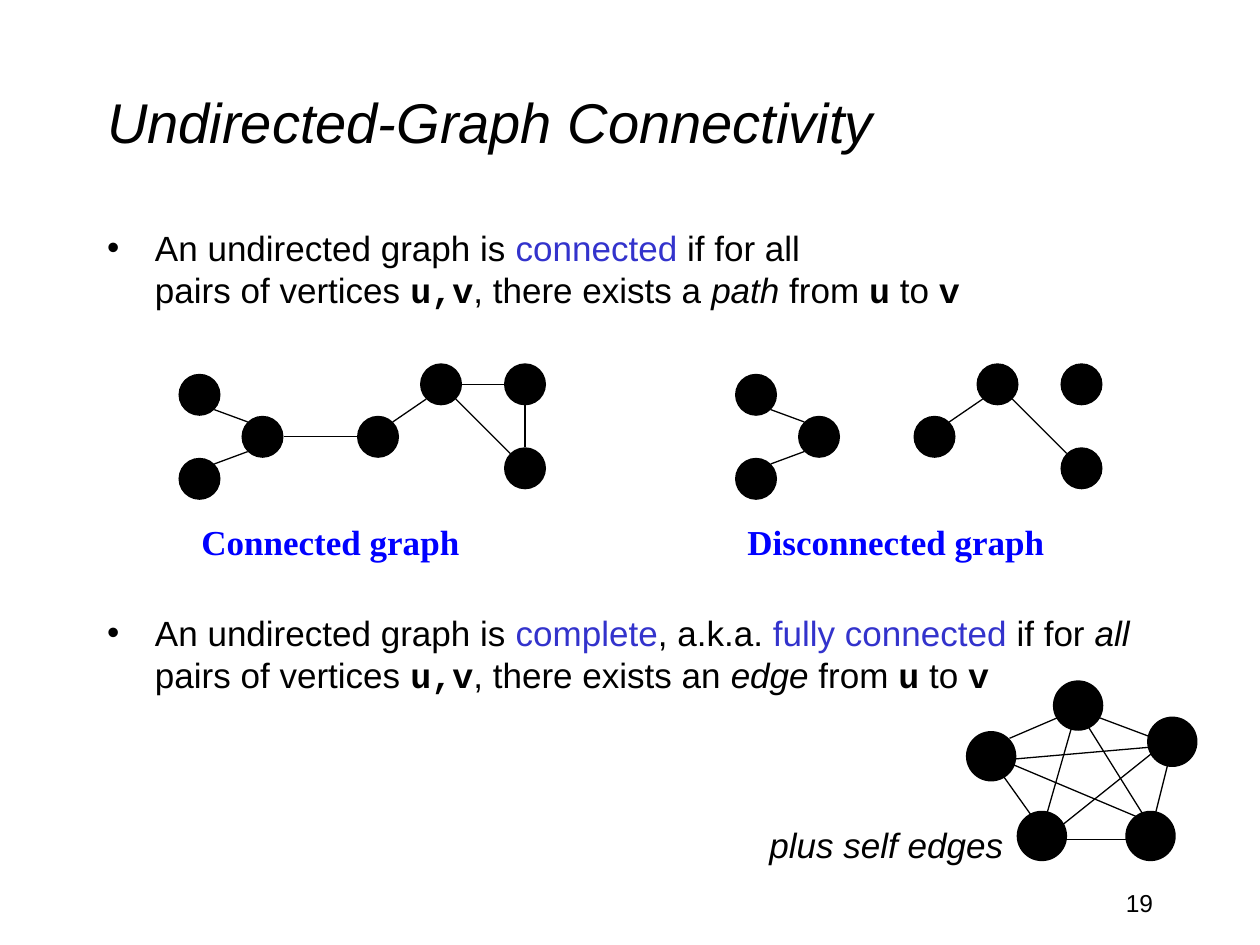
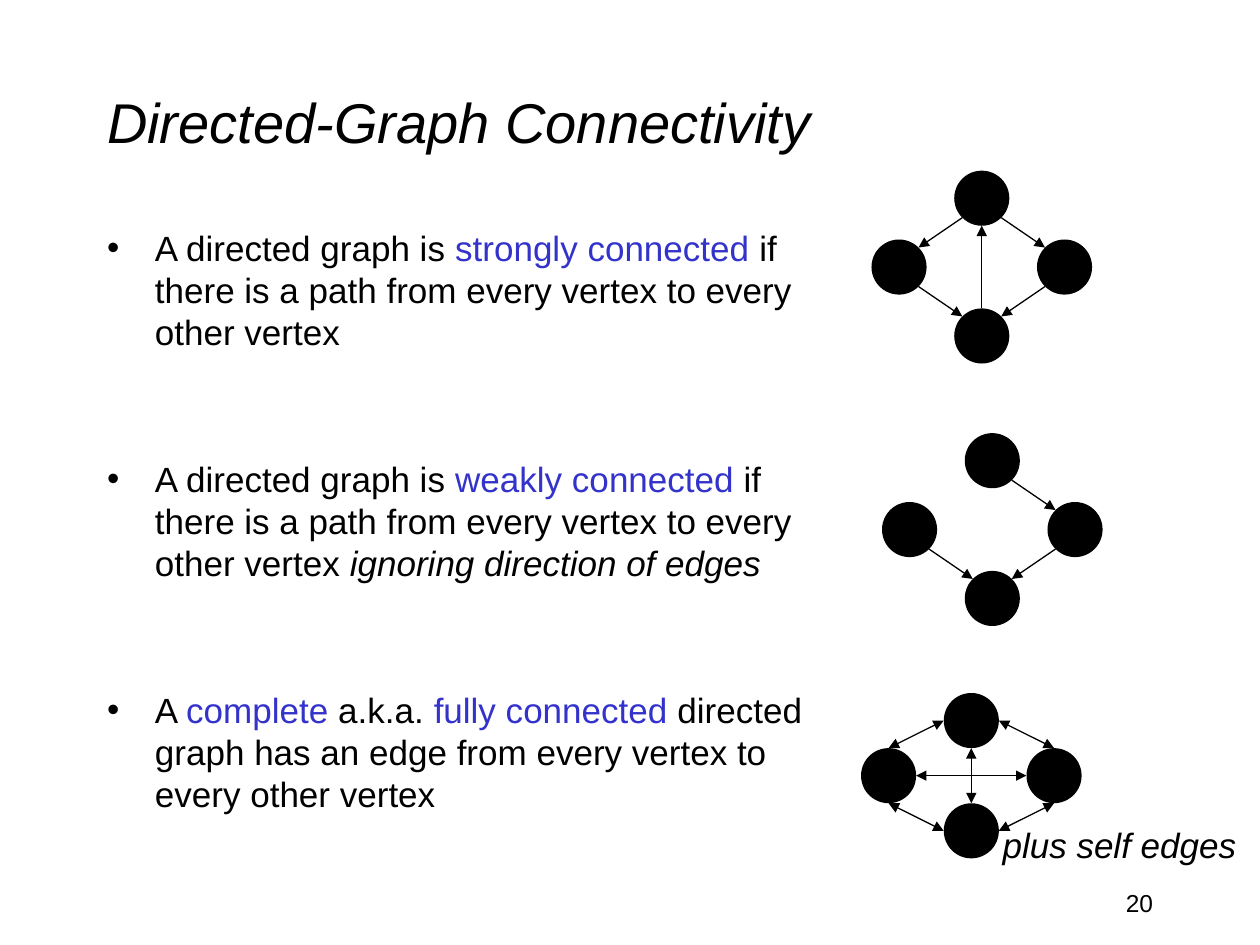
from dataclasses import dataclass, field
from typing import NamedTuple

from lxml import etree
from pptx import Presentation
from pptx import util as u
from pptx.dml.color import RGBColor
from pptx.enum import shapes, text
from pptx.oxml import ns

# A grid of 120 columns by 90 rows covers the slide.
COLUMNS, ROWS = 120, 90
SLIDE_WIDTH, SLIDE_HEIGHT = u.Inches(10), u.Inches(7.5)
BLACK, WHITE, TERM_BLUE, CAPTION_BLUE = "000000", "FFFFFF", "3333CC", "0000FF"
SANS, SERIF, MONO = "Arial", "Times New Roman", "Courier New"

Point = tuple[float, float]
DIAGONAL = 0.5 ** 0.5
COMPASS: dict[str, Point] = {
    "N": (0, -1), "S": (0, 1), "W": (-1, 0), "E": (1, 0),
    "NW": (-DIAGONAL, -DIAGONAL), "NE": (DIAGONAL, -DIAGONAL),
    "SW": (-DIAGONAL, DIAGONAL), "SE": (DIAGONAL, DIAGONAL),
}


class Area(NamedTuple):
    left: float
    top: float
    width: float
    height: float


class Span(NamedTuple):
    words: str
    style: str = "plain"


class Edge(NamedTuple):
    """Joins a compass side of one node to a side of another."""
    start: int
    start_side: str
    end: int
    end_side: str


class Label(NamedTuple):
    words: str
    area: Area


@dataclass
class Graph:
    """Nodes and chords are counted in steps from the origin."""
    origin: Point
    step: Point
    node_size: float
    nodes: list[Point]
    edges: list[Edge] = field(default_factory=list)
    chords: list[tuple[Point, Point]] = field(default_factory=list)
    arrows: tuple[str, ...] = ()
    caption: Label | None = None

    def place(self, point: Point) -> Point:
        return (self.origin[0] + point[0] * self.step[0],
                self.origin[1] + point[1] * self.step[1])

    def rim(self, node: int, side: str) -> Point:
        left, top = self.place(self.nodes[node])
        radius = self.node_size / 2
        across, down = COMPASS[side]
        return left + radius * (1 + across), top + radius * (1 + down)


@dataclass
class Lesson:
    number: int
    title: str
    body_width: float
    bullet_gap: float
    bullets: list[list[Span]]
    graphs: list[Graph]
    note_left: float


STYLES = {
    "plain": {},
    "term": {"color": TERM_BLUE},
    "code": {"font": MONO, "bold": True},
    "stress": {"italic": True},
}
TITLE_AREA = Area(9, 4, 102, 15)
NUMBER_AREA = Area(86, 84, 25, 6)
BODY_LEFT, BODY_TOP, BODY_HEIGHT = 9, 21, 59
LABEL_HEIGHT = 5.3


def x(columns: float) -> int:
    return round(columns * SLIDE_WIDTH / COLUMNS)


def y(rows: float) -> int:
    return round(rows * SLIDE_HEIGHT / ROWS)


def rgb(color: str) -> RGBColor:
    return RGBColor.from_string(color)


def box_of(area: Area) -> tuple[int, int, int, int]:
    return x(area.left), y(area.top), x(area.width), y(area.height)


def move(box, area: Area) -> None:
    box.left, box.top, box.width, box.height = box_of(area)
    box.text_frame.auto_size = text.MSO_AUTO_SIZE.NONE


def add_span(para, words: str, *, size: float = 20, font: str = SANS, color: str = BLACK,
             bold: bool = False, italic: bool = False) -> None:
    """Adds a run, with a line break wherever the words have one."""
    for index, line in enumerate(words.split("\n")):
        if index:
            para.add_line_break()
        span = para.add_run()
        span.text = line
        span.font.size, span.font.name = u.Pt(size), font
        span.font.bold, span.font.italic = bold, italic
        span.font.color.rgb = rgb(color)


def add_label(owner, label: Label, **style) -> None:
    """Adds a one-line text box as wide as its words."""
    box = owner.shapes.add_textbox(*box_of(label.area))
    box.text_frame.word_wrap = False
    box.text_frame.auto_size = text.MSO_AUTO_SIZE.SHAPE_TO_FIT_TEXT
    add_span(box.text_frame.paragraphs[0], label.words, **style)


def add_node(group, left: float, top: float, size: float) -> None:
    node = group.shapes.add_shape(shapes.MSO_SHAPE.OVAL, *box_of(Area(left, top, size, size)))
    node.shadow.inherit = False
    node.fill.solid()
    node.fill.fore_color.rgb = rgb(BLACK)
    node.line.fill.background()


def add_line(group, start: Point, end: Point, arrows: tuple[str, ...]) -> None:
    line = group.shapes.add_connector(
        shapes.MSO_CONNECTOR.STRAIGHT, x(start[0]), y(start[1]), x(end[0]), y(end[1]))
    line.line.color.rgb = rgb(BLACK)
    line.line.width = u.Pt(0.75)
    properties = line.element.spPr
    for arrow in arrows:
        etree.SubElement(properties.find(ns.qn("a:ln")), ns.qn(f"a:{arrow}"), type="triangle")
    etree.SubElement(properties, ns.qn("a:effectLst"))


def add_graph(page, graph: Graph) -> None:
    group = page.shapes.add_group_shape()
    for node in graph.nodes:
        add_node(group, *graph.place(node), graph.node_size)
    for edge in graph.edges:
        add_line(group, graph.rim(edge.start, edge.start_side),
                 graph.rim(edge.end, edge.end_side), graph.arrows)
    for start, end in graph.chords:
        add_line(group, graph.place(start), graph.place(end), graph.arrows)
    if graph.caption:
        add_label(group, graph.caption, font=SERIF, color=CAPTION_BLUE, bold=True)


def add_bullet(para, spans: list[Span], gap: float) -> None:
    properties = para._p.get_or_add_pPr()
    properties.set("marL", str(u.Inches(0.38)))
    properties.set("indent", str(-u.Inches(0.38)))
    etree.SubElement(properties, ns.qn("a:buChar"), char="•")
    para.line_spacing = u.Pt(24)
    para.space_before = u.Pt(gap)
    for span in spans:
        add_span(para, span.words, **STYLES[span.style])


def add_lesson(deck, lesson: Lesson) -> None:
    page = deck.slides.add_slide(deck.slide_layouts[1])
    page.background.fill.solid()
    page.background.fill.fore_color.rgb = rgb(WHITE)

    title, body = page.placeholders
    move(title, TITLE_AREA)
    title.text_frame.vertical_anchor = text.MSO_ANCHOR.MIDDLE
    para = title.text_frame.paragraphs[0]
    para.alignment = text.PP_ALIGN.LEFT
    add_span(para, lesson.title, size=32, italic=True)

    move(body, Area(BODY_LEFT, BODY_TOP, lesson.body_width, BODY_HEIGHT))
    for index, spans in enumerate(lesson.bullets):
        frame = body.text_frame
        para = frame.add_paragraph() if index else frame.paragraphs[0]
        add_bullet(para, spans, lesson.bullet_gap if index else 0)

    number = page.shapes.add_textbox(*box_of(NUMBER_AREA))
    number.text_frame.word_wrap = True
    para = number.text_frame.paragraphs[0]
    para.alignment = text.PP_ALIGN.RIGHT
    add_span(para, str(lesson.number), size=14)

    for graph in lesson.graphs:
        add_graph(page, graph)
    note = Label("plus self edges", Area(lesson.note_left, 77.8, 24.8, LABEL_HEIGHT))
    add_label(page, note, italic=True)


def seven_nodes(left: float, extra: list[Edge], caption: Label) -> Graph:
    shared = [Edge(4, "SE", 6, "NW"), Edge(4, "SW", 3, "NE"),
              Edge(2, "NW", 0, "SE"), Edge(2, "SW", 1, "NE")]
    nodes = [(0, 1), (0, 9), (6, 5), (17, 5), (23, 0), (31, 0), (31, 8)]
    return Graph((left, 34.6), (1, 1), 4, nodes, extra + shared, caption=caption)


def diamond(left: float, top: float, rise: float, edges: list[Edge],
            arrows: tuple[str, ...] = ("tailEnd",)) -> Graph:
    """Four nodes: 0 top, 1 bottom, 2 right, 3 left."""
    nodes = [(1, 0), (1, 2), (2, 1), (0, 1)]
    return Graph((left, top), (7.88, rise), 5.25, nodes, edges, arrows=arrows)


def complete_five() -> Graph:
    nodes = [(12, 0), (7, 18), (25, 5), (0, 7), (22, 18)]
    chords = [((6, 8), (13, 5)), ((18, 5), (26, 8)), ((5, 13), (10, 20)),
              ((13, 22), (24, 22)), ((26, 19), (28, 11)), ((5, 11), (28, 9)),
              ((5, 11), (24, 19)), ((11, 19), (15, 5)), ((16, 5), (26, 21)),
              ((12, 21), (27, 9))]
    return Graph((92, 64.8), (0.69, 0.69), 4.8, nodes, chords=chords)


def vertex_pairs(article: str, link: str) -> list[Span]:
    return [Span("pairs of vertices "), Span("u,v", "code"),
            Span(f", there exists {article} "), Span(link, "stress"), Span(" from "),
            Span("u", "code"), Span(" to "), Span("v", "code")]


EVERY_VERTEX = " if there is a path from every vertex to every other vertex"
RIGHT_DOWN, INTO_BOTTOM = Edge(0, "SE", 2, "NW"), [Edge(2, "SW", 1, "NE"), Edge(3, "SE", 1, "NW")]

UNDIRECTED = Lesson(
    19, "Undirected-Graph Connectivity", body_width=102, bullet_gap=172,
    bullets=[
        [Span("An undirected graph is "), Span("connected", "term"),
         Span(" if for all\n"), *vertex_pairs("a", "path")],
        [Span("An undirected graph is "), Span("complete", "term"), Span(", a.k.a. "),
         Span("fully connected", "term"), Span(" if for "), Span("all", "stress"),
         Span(" "), *vertex_pairs("an", "edge")],
    ],
    graphs=[
        seven_nodes(17, [Edge(5, "S", 6, "N"), Edge(5, "W", 4, "E"), Edge(3, "W", 2, "E")],
                    Label("Connected graph", Area(18, 49, 27.2, LABEL_HEIGHT))),
        seven_nodes(70, [], Label("Disconnected graph", Area(70, 49, 31, LABEL_HEIGHT))),
        complete_five(),
    ],
    note_left=72.1)

DIRECTED = Lesson(
    20, "Directed-Graph Connectivity", body_width=73, bullet_gap=60,
    bullets=[
        [Span("A directed graph is "), Span("strongly connected", "term"), Span(EVERY_VERTEX)],
        [Span("A directed graph is "), Span("weakly connected", "term"),
         Span(EVERY_VERTEX + " "), Span("ignoring direction of edges", "stress")],
        [Span("A "), Span("complete", "term"), Span(" a.k.a. "),
         Span("fully connected", "term"),
         Span(" directed graph has an edge from every vertex to every other vertex")],
    ],
    graphs=[
        diamond(83, 16.25, 6.56,
                [Edge(0, "SW", 3, "NE"), RIGHT_DOWN, *INTO_BOTTOM, Edge(1, "N", 0, "S")]),
        diamond(84, 41.25, 6.56, [RIGHT_DOWN, *INTO_BOTTOM]),
        diamond(82, 66, 5.25,
                [Edge(1, "N", 0, "S"), Edge(3, "E", 2, "W"), Edge(0, "W", 3, "N"),
                 Edge(0, "E", 2, "N"), Edge(2, "S", 1, "E"), Edge(1, "W", 3, "S")],
                ("headEnd", "tailEnd")),
    ],
    note_left=94.3)


def main() -> None:
    deck = Presentation()
    deck.slide_width, deck.slide_height = SLIDE_WIDTH, SLIDE_HEIGHT
    for lesson in (UNDIRECTED, DIRECTED):
        add_lesson(deck, lesson)
    deck.save("out.pptx")


if __name__ == "__main__":
    main()
